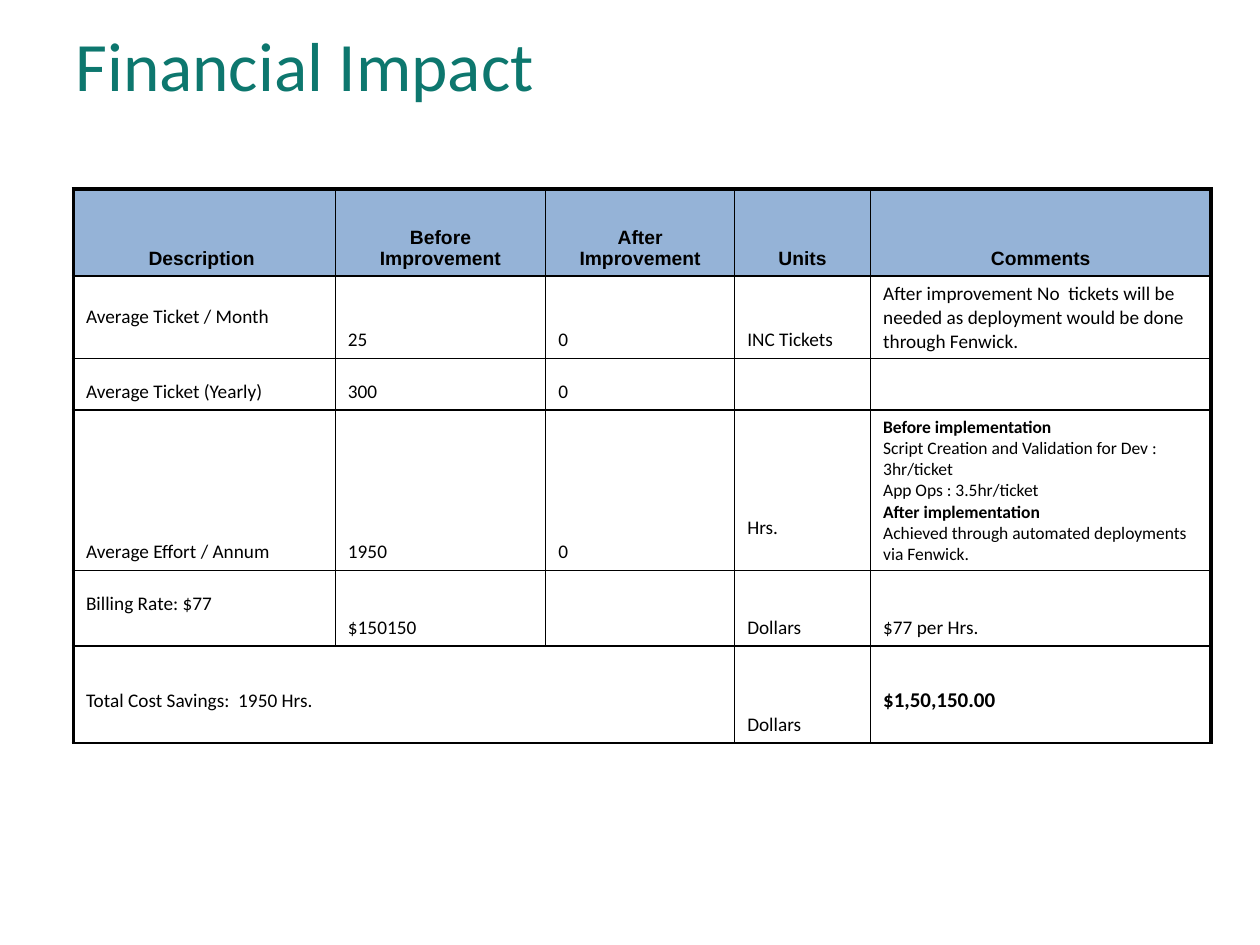
from lxml.etree import SubElement
from pptx import Presentation
from pptx.dml.color import RGBColor
from pptx.enum.text import MSO_ANCHOR, PP_ALIGN
from pptx.oxml.ns import qn
from pptx.util import Cm, Pt

COLORS = {"title": "0D776E", "header": "95B3D7", "ink": "000000"}
COLUMN_WIDTHS = [5.28, 4.24, 3.81, 2.74, 6.86]
ROW_HEIGHTS = [1.75, 1.67, 1.04, 3.23, 1.52, 1.96]
INSET, LINE = 0.13, 0.48
THIN, THICK = 1, 2.25

HEADINGS = ["Description\u00a0", "Before Improvement", "After Improvement",
            "Units", "Comments"]
EFFORT_NOTES = [
    ("Before implementation", 10, True),
    ("Script Creation and Validation for Dev : 3hr/ticket", 10, False),
    ("App Ops : 3.5hr/ticket", 10, False),
    ("After implementation", 10, True),
    ("Achieved through automated deployments via Fenwick.", 10, False),
]
# An entry is plain text or a list of (text, size, bold) paragraphs.
ENTRIES = [
    ["Average Ticket / Month", "25", "0", "INC Tickets",
     "After improvement No  tickets will be needed as deployment "
     "would be done through Fenwick."],
    ["Average Ticket (Yearly)", "300", "0", "", ""],
    ["Average Effort / Annum", "1950", "0", "Hrs.", EFFORT_NOTES],
    ["Billing Rate: $77", "$150150", "", "Dollars", "$77 per Hrs."],
    ["Total Cost Savings:  1950 Hrs.", "", "", "Dollars",
     [("$1,50,150.00", 12, True)]],
]
# Cells (row, column) whose text sits one line above the cell's bottom.
RAISED = {(1, 0), (3, 3), (4, 0), (5, 0), (5, 4)}


def add_run(paragraph, text, size, color, font="Calibri", bold=False):
    """Append one styled run to a paragraph."""
    run = paragraph.add_run()
    run.text = text
    run.font.name = font
    run.font.size = Pt(size)
    run.font.bold = bold
    run.font.color.rgb = RGBColor.from_string(COLORS[color])


def add_title(slide, left, top, width, height):
    """Place the slide heading in its box."""
    heading = slide.shapes.add_textbox(Cm(left), Cm(top), Cm(width), Cm(height))
    frame = heading.text_frame
    frame.word_wrap = True
    frame.vertical_anchor = MSO_ANCHOR.MIDDLE
    add_run(frame.paragraphs[0], "Financial Impact", 39.6, "title")


def set_borders(cell, **widths):
    """Draw cell borders, given in points for L, R, T and B in that order."""
    properties = cell._tc.get_or_add_tcPr()
    for side, width in widths.items():
        line = SubElement(properties, qn(f"a:ln{side}"), w=str(Pt(width)))
        fill = SubElement(line, qn("a:solidFill"))
        SubElement(fill, qn("a:srgbClr"), val=COLORS["ink"])


def fill_cell(cell, entry, is_header, raised):
    """Write an entry into a cell, standing on the cell's bottom edge."""
    cell.vertical_anchor = MSO_ANCHOR.BOTTOM
    cell.margin_top = Cm(INSET)
    cell.margin_bottom = Cm(INSET + LINE if raised else INSET)
    if is_header:
        cell.fill.solid()
        cell.fill.fore_color.rgb = RGBColor.from_string(COLORS["header"])
    else:
        cell.fill.background()
    if not entry:
        return
    lines = [(entry, 11, is_header)] if isinstance(entry, str) else entry
    frame = cell.text_frame
    for index, (text, size, bold) in enumerate(lines):
        paragraph = frame.add_paragraph() if index else frame.paragraphs[0]
        if is_header:
            paragraph.alignment = PP_ALIGN.CENTER
            paragraph.line_spacing = 0.95
        add_run(paragraph, text, size, "ink",
                "Arial" if is_header else "Calibri", bold)


def add_savings_table(slide, left, top):
    """Place the cost comparison with its top left corner at the given point."""
    rows = [HEADINGS] + ENTRIES
    last_column = len(HEADINGS) - 1
    savings = slide.shapes.add_table(
        len(rows), len(HEADINGS), Cm(left), Cm(top),
        Cm(sum(COLUMN_WIDTHS)), Cm(sum(ROW_HEIGHTS))).table
    savings.first_row = savings.horz_banding = False
    for column, width in zip(savings.columns, COLUMN_WIDTHS):
        column.width = Cm(width)
    for row, height in zip(savings.rows, ROW_HEIGHTS):
        row.height = Cm(height)
    total_row = len(rows) - 1
    savings.cell(total_row, 0).merge(savings.cell(total_row, 2))

    for r, entries in enumerate(rows):
        for c, entry in enumerate(entries):
            cell = savings.cell(r, c)
            if cell.is_spanned:
                continue
            set_borders(cell, L=THICK if c == 0 else THIN,
                        R=THICK if c == last_column else THIN,
                        T=THICK if r == 0 else THIN, B=THIN)
            fill_cell(cell, entry, r == 0, (r, c) in RAISED)


def build():
    """Build the slide and save it."""
    deck = Presentation()
    deck.slide_width, deck.slide_height = Cm(25.4), Cm(19.05)
    slide = deck.slides.add_slide(deck.slide_layouts[6])
    add_title(slide, 1.27, 0.43, 22.86, 1.7)
    add_savings_table(slide, 1.48, 3.81)
    deck.save("out.pptx")


build()
